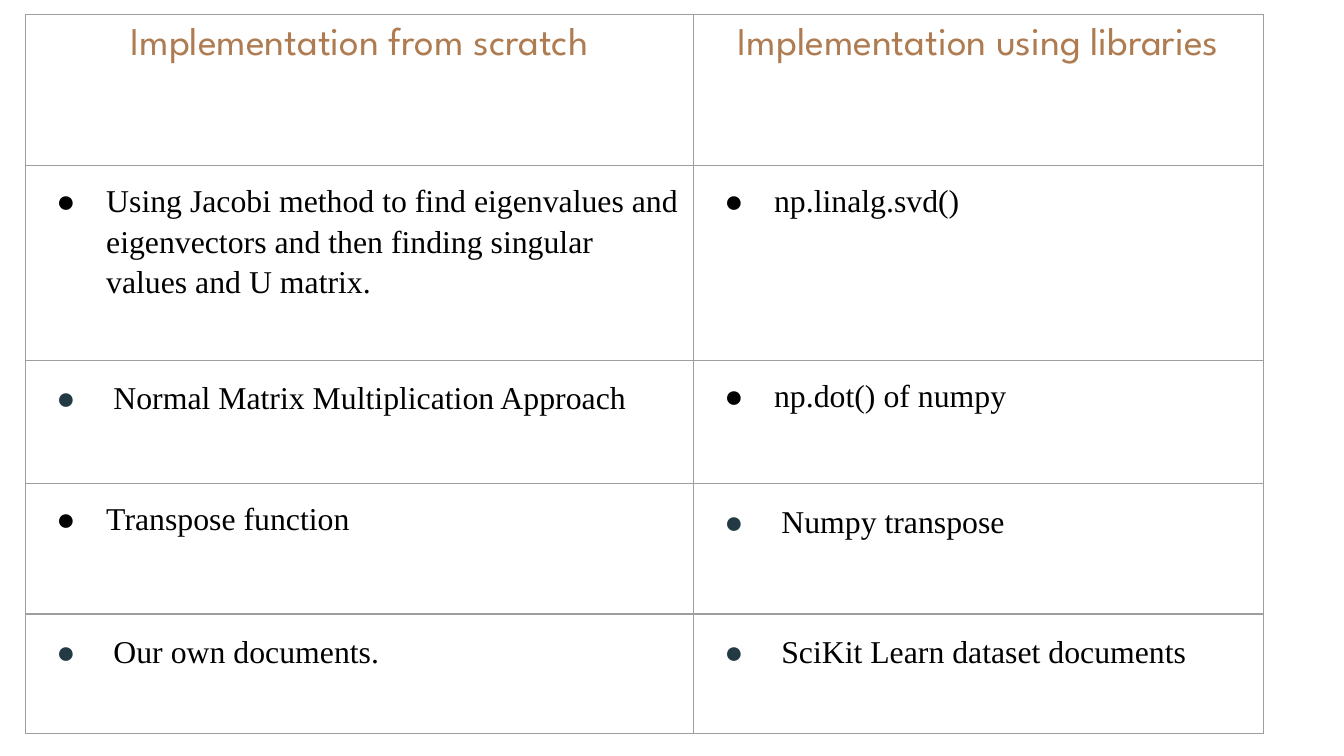
from typing import NamedTuple

from lxml.etree import SubElement
from pptx import Presentation
from pptx.dml.color import RGBColor
from pptx.enum.text import PP_ALIGN as Align
from pptx.oxml.ns import qn
from pptx.table import _Cell as Cell
from pptx.util import Inches, Pt

WHITE = RGBColor(0xFF, 0xFF, 0xFF)
BLACK = RGBColor(0x00, 0x00, 0x00)
SLATE = RGBColor(0x23, 0x3A, 0x44)
COPPER = RGBColor(0xAF, 0x7B, 0x51)
GRID_GRAY = RGBColor(0x9E, 0x9E, 0x9E)

HEADER_FONT, BODY_FONT, SPACER_FONT = "League Spartan", "Times New Roman", "Calibri"
COLUMN_WIDTHS = (4.97, 4.24)
ROW_HEIGHTS = (1.12, 1.45, 0.92, 0.97, 0.89)


class Point(NamedTuple):
    text: str
    spaced: bool = False  # slate bullet followed by a small space


HEADERS = ("Implementation from scratch", "Implementation using libraries")
COMPARISON = (
    (Point("Using Jacobi method to find eigenvalues and eigenvectors "
           "and then finding singular values and U matrix."),
     Point("np.linalg.svd()")),
    (Point("Normal Matrix Multiplication Approach", True), Point("np.dot() of numpy")),
    (Point("Transpose function"), Point("Numpy transpose", True)),
    (Point("Our own documents.", True), Point("SciKit Learn dataset documents", True)),
)


def style_cell(cell: Cell) -> None:
    """Give a cell its margins, thin gray borders and white fill."""
    cell.margin_left = cell.margin_right = Inches(0.1)
    cell.margin_top = cell.margin_bottom = Inches(0.1)
    properties = cell._tc.get_or_add_tcPr()
    for side in ("a:lnL", "a:lnR", "a:lnT", "a:lnB"):
        border = SubElement(properties, qn(side), w=str(Pt(0.75)))
        paint = SubElement(border, qn("a:solidFill"))
        SubElement(paint, qn("a:srgbClr"), val=str(GRID_GRAY))
    cell.fill.solid()
    cell.fill.fore_color.rgb = WHITE


def write_header(cell: Cell, text: str) -> None:
    heading = cell.text_frame.paragraphs[0]
    heading.text = text
    heading.alignment = Align.CENTER
    heading.font.name = HEADER_FONT
    heading.font.size = Pt(21)
    heading.font.color.rgb = COPPER


def write_point(cell: Cell, point: Point) -> None:
    line = cell.text_frame.paragraphs[0]
    line.line_spacing = 1.15

    # Bullet with hanging indent
    properties = line._p.get_or_add_pPr()
    properties.set("marL", str(Inches(0.5)))
    properties.set("indent", str(Inches(-0.37)))
    bullet_color = SubElement(properties, qn("a:buClr"))
    SubElement(bullet_color, qn("a:srgbClr"), val=str(SLATE if point.spaced else BLACK))
    SubElement(properties, qn("a:buFont"), typeface=BODY_FONT)
    SubElement(properties, qn("a:buChar"), char="●")

    pieces = [(point.text, BODY_FONT, BLACK)]
    if point.spaced:
        pieces.insert(0, (" ", SPACER_FONT, SLATE))
    for text, font_name, color in pieces:
        run = line.add_run()
        run.text = text
        run.font.name = font_name
        run.font.size = Pt(17)
        run.font.color.rgb = color


def main() -> None:
    # Widescreen 16:9 slide
    deck = Presentation()
    deck.slide_width = Inches(10)
    deck.slide_height = Inches(10 * 9 / 16)
    slide = deck.slides.add_slide(deck.slide_layouts[6])

    # Table grid
    table = slide.shapes.add_table(
        len(ROW_HEIGHTS), len(COLUMN_WIDTHS), Inches(0.19), Inches(0.11),
        Inches(sum(COLUMN_WIDTHS)), Inches(sum(ROW_HEIGHTS))).table
    table.first_row = table.horz_banding = False
    for column, width in zip(table.columns, COLUMN_WIDTHS):
        column.width = Inches(width)
    for row, height in zip(table.rows, ROW_HEIGHTS):
        row.height = Inches(height)
    for cell in table.iter_cells():
        style_cell(cell)

    # Headings and compared points
    for column_index, header in enumerate(HEADERS):
        write_header(table.cell(0, column_index), header)
    for row_index, points in enumerate(COMPARISON, start=1):
        for column_index, point in enumerate(points):
            write_point(table.cell(row_index, column_index), point)

    deck.save("out.pptx")


if __name__ == "__main__":
    main()
